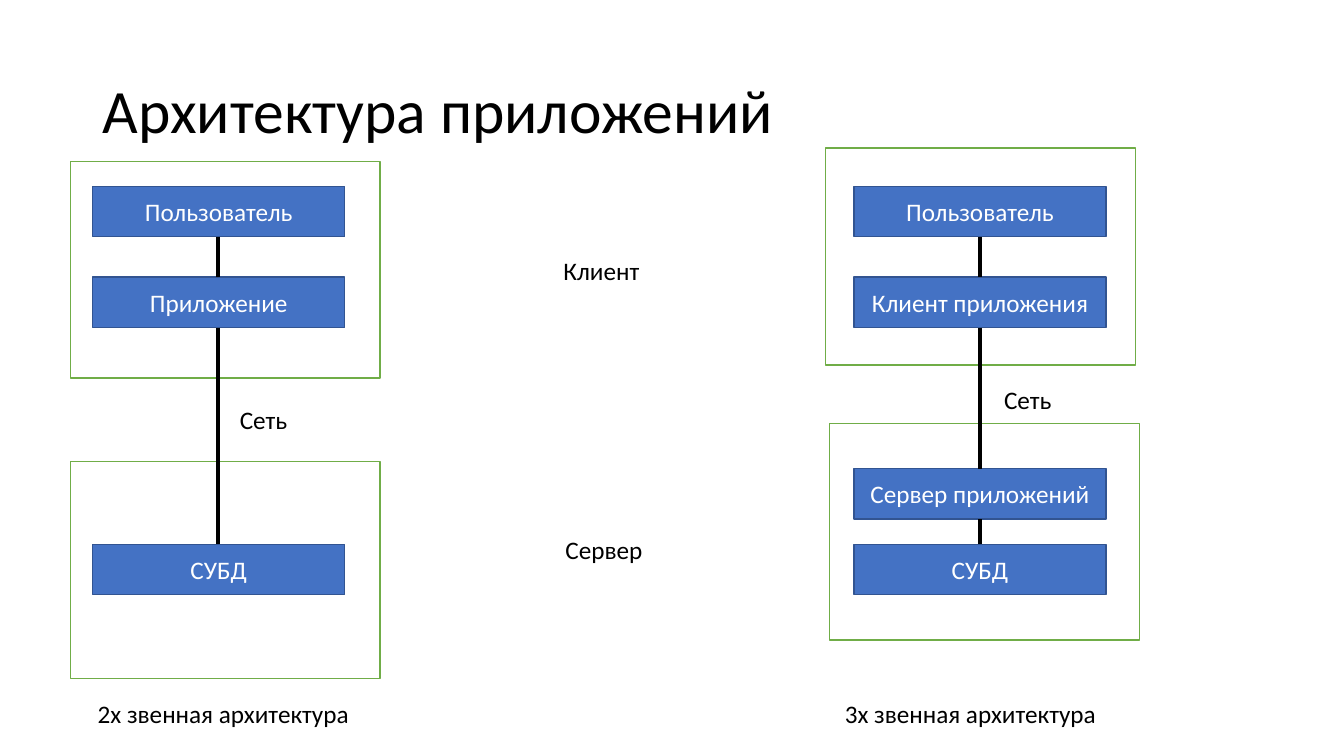
import itertools

import pptx
import pptx.dml.color
import pptx.enum.shapes
import pptx.enum.text
import pptx.oxml
import pptx.util
from pptx.util import Inches

RGBColor = pptx.dml.color.RGBColor
WHITE = RGBColor(0xFF, 0xFF, 0xFF)
BLACK = RGBColor(0x00, 0x00, 0x00)
GREEN = RGBColor(0x70, 0xAD, 0x47)
BLUE = RGBColor(0x44, 0x72, 0xC4)
NAVY = RGBColor(0x32, 0x54, 0x91)

ANCHOR = pptx.enum.text.MSO_ANCHOR
FIT = pptx.enum.text.MSO_AUTO_SIZE
ALIGN = pptx.enum.text.PP_ALIGN

FRAME_W, FRAME_H = 3.07, 2.15
BOX_W, BOX_H = 2.5, 0.5

FRAMES = [(0.7, 4.58), (8.23, 4.2), (8.19, 1.47), (0.7, 1.6)]
# Left edge of the boxes, x of the links, then each box with its top
STACKS = [
    (0.92, 2.16, [("Пользователь", 1.85), ("Приложение", 2.75),
                  ("СУБД", 5.4)]),
    (8.47, 9.72, [("Пользователь", 1.85), ("Клиент приложения", 2.75),
                  ("Сервер приложений", 4.65), ("СУБД", 5.4)]),
]
LABELS = [
    ("Клиент", 5.49, 2.48, 0.96),
    ("Сервер", 5.51, 5.25, 0.98),
    ("Сеть", 2.28, 3.96, 0.68),
    ("Сеть", 9.86, 3.76, 0.68),
    ("2х звенная архитектура", 0.87, 6.88, 2.72),
    ("3х звенная архитектура", 8.28, 6.88, 2.72),
]

TITLE_BODY = {"word_wrap": True, "vertical_anchor": ANCHOR.MIDDLE}
LABEL_BODY = {"word_wrap": False, "auto_size": FIT.SHAPE_TO_FIT_TEXT}
BOX_PARA = {"alignment": ALIGN.CENTER}
TITLE_PARA = {"line_spacing": 0.9}


def apply(item, form):
    """Set each attribute named in the dict on the item."""
    for name, value in form.items():
        setattr(item, name, value)


def write(shape, text, size, color, body, para):
    """Put one formatted paragraph into the shape."""
    frame = shape.text_frame
    apply(frame, body)
    line = frame.paragraphs[0]
    apply(line, para)
    run = line.add_run()
    run.text = text
    apply(run.font, {"name": "Calibri", "size": pptx.util.Pt(size)})
    run.font.color.rgb = color


def add_rect(slide, left, top, width, height, fill, edge):
    rect = slide.shapes.add_shape(
        pptx.enum.shapes.MSO_SHAPE.RECTANGLE,
        Inches(left), Inches(top), Inches(width), Inches(height))
    rect.shadow.inherit = False
    rect.fill.solid()
    rect.fill.fore_color.rgb = fill
    rect.line.color.rgb = edge
    rect.line.width = pptx.util.Pt(1)
    return rect


def add_text(slide, text, left, top, width, height, size, body, para):
    area = slide.shapes.add_textbox(
        Inches(left), Inches(top), Inches(width), Inches(height))
    write(area, text, size, BLACK, body, para)


def add_link(slide, x, top, bottom):
    link = slide.shapes.add_connector(
        pptx.enum.shapes.MSO_CONNECTOR.STRAIGHT,
        Inches(x), Inches(top), Inches(x), Inches(bottom))
    link.line.color.rgb = BLACK
    link.line.width = pptx.util.Pt(3)
    props = link._element.spPr
    props.append(pptx.oxml.parse_xml(
        '<a:effectLst xmlns:a='
        '"http://schemas.openxmlformats.org/drawingml/2006/main"/>'))


def add_stack(slide, left, axis, tiers):
    """Draw a column of boxes, each linked to the next one down."""
    for text, top in tiers:
        box = add_rect(slide, left, top, BOX_W, BOX_H, BLUE, NAVY)
        write(box, text, 18, WHITE, TITLE_BODY, BOX_PARA)
    for (_, upper), (_, lower) in itertools.pairwise(tiers):
        add_link(slide, axis, upper + BOX_H, lower)


def main():
    deck = pptx.Presentation()
    apply(deck, {"slide_width": Inches(13.33), "slide_height": Inches(7.5)})
    slide = deck.slides.add_slide(deck.slide_layouts[6])
    for left, top in FRAMES:
        add_rect(slide, left, top, FRAME_W, FRAME_H, WHITE, GREEN)
    add_text(slide, "Архитектура приложений", 0.92, 0.4, 11.5, 1.45,
             44, TITLE_BODY, TITLE_PARA)
    for left, axis, tiers in STACKS:
        add_stack(slide, left, axis, tiers)
    for text, left, top, width in LABELS:
        add_text(slide, text, left, top, width, 0.4, 18, LABEL_BODY, {})
    deck.save("out.pptx")


if __name__ == "__main__":
    main()
